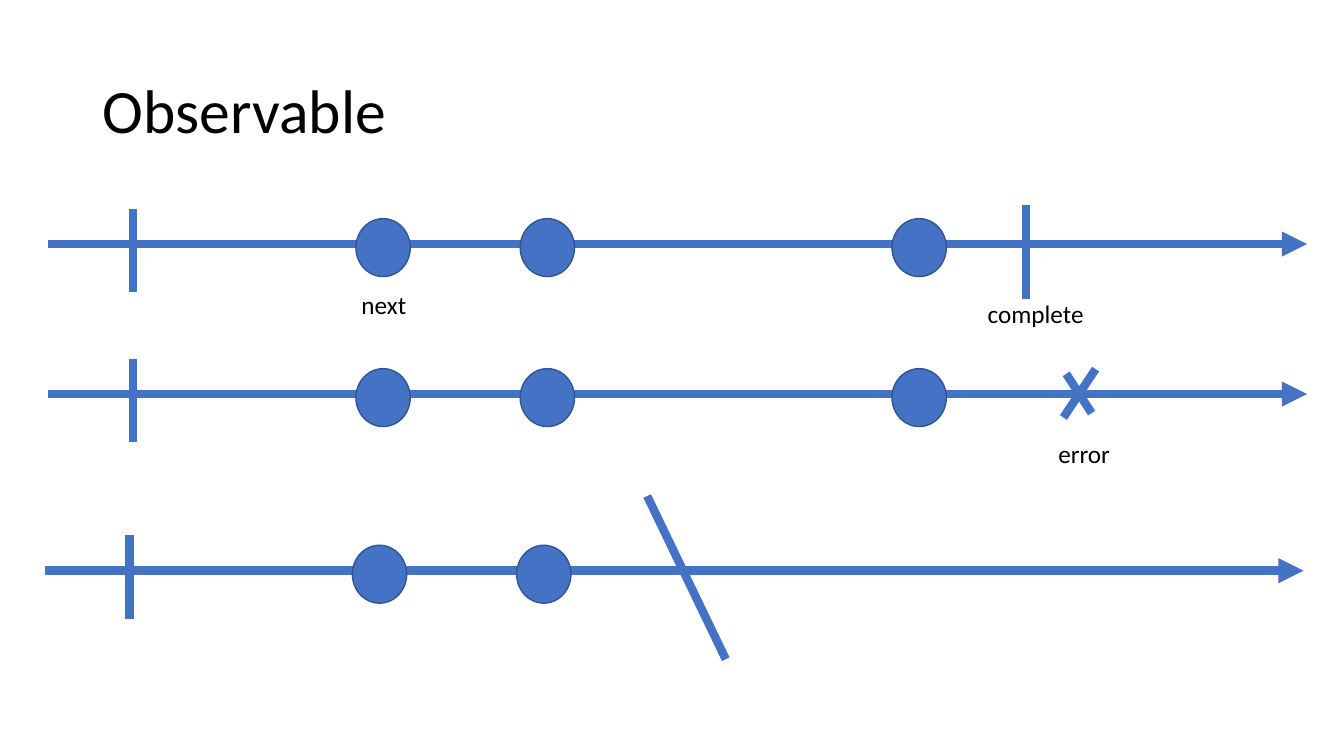
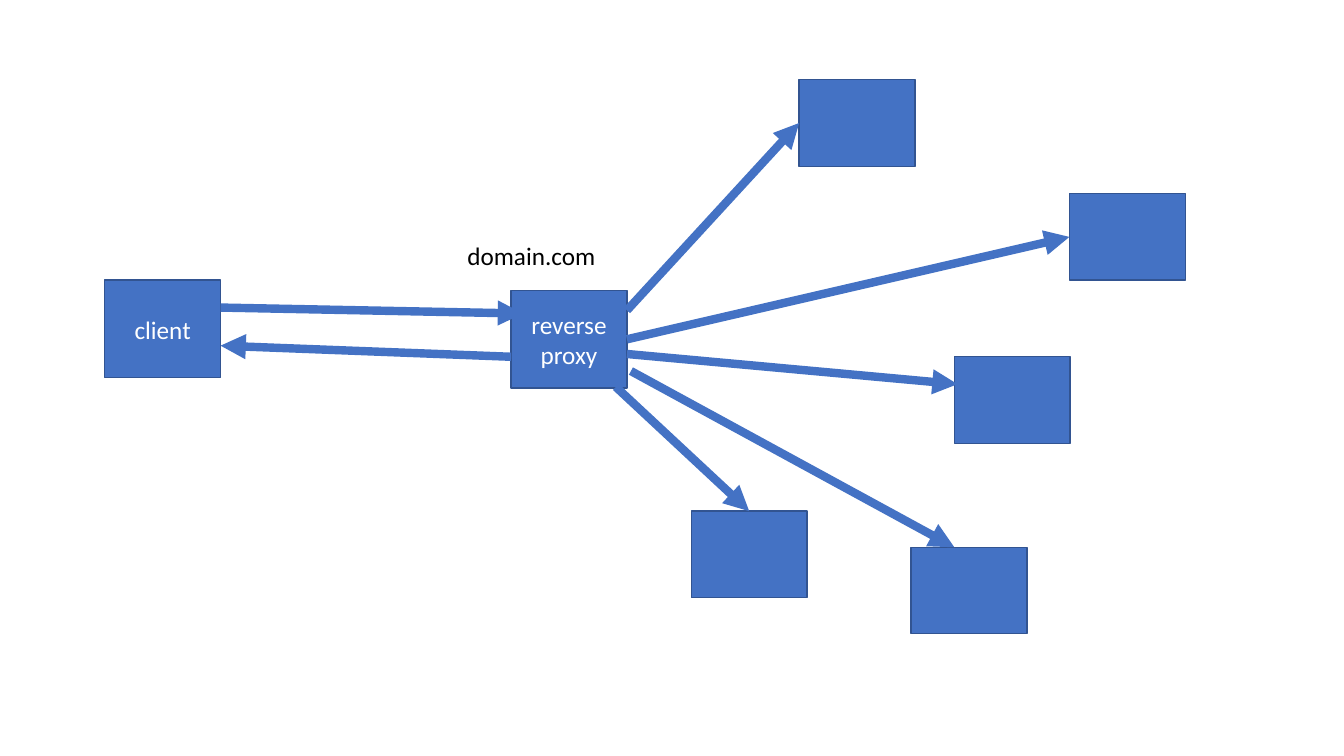
from lxml import etree
from pptx import Presentation, util as u
from pptx.dml.color import RGBColor
from pptx.enum import shapes, text
from pptx.oxml.ns import qn


def rgb(value):
    return RGBColor.from_string(value)


class Deck:
    FONT = "Calibri"
    BLUE = "4472C4"
    EDGE = "325491"
    BLACK = "000000"
    WHITE = "FFFFFF"

    def __init__(self):
        self.prs = Presentation()
        self.prs.slide_width = u.Cm(33.87)
        self.prs.slide_height = u.Cm(19.05)
        self.s = None

    def slide(self):
        self.s = self.prs.slides.add_slide(self.prs.slide_layouts[6])

    def set_text(self, tf, words, size, color):
        tf.text = words
        p = tf.paragraphs[0]
        font = p.runs[0].font
        font.name = self.FONT
        font.size = u.Pt(size)
        font.color.rgb = rgb(color)
        return p

    def title(self, words):
        tf = self.s.shapes.add_textbox(u.Cm(2.34), u.Cm(1.02), u.Cm(29.21), u.Cm(3.68)).text_frame
        tf.word_wrap = True
        tf.vertical_anchor = text.MSO_ANCHOR.MIDDLE
        self.set_text(tf, words, 44, self.BLACK).line_spacing = 0.9

    def label(self, words, x, y, w):
        tf = self.s.shapes.add_textbox(u.Cm(x), u.Cm(y), u.Cm(w), u.Cm(1.03)).text_frame
        tf.word_wrap = False
        tf.auto_size = text.MSO_AUTO_SIZE.SHAPE_TO_FIT_TEXT
        self.set_text(tf, words, 18, self.BLACK)

    def shape(self, kind, x, y, w, h):
        sp = self.s.shapes.add_shape(kind, u.Cm(x), u.Cm(y), u.Cm(w), u.Cm(h))
        sp.shadow.inherit = False
        sp.fill.solid()
        sp.fill.fore_color.rgb = rgb(self.BLUE)
        sp.line.color.rgb = rgb(self.EDGE)
        sp.line.width = u.Pt(1)
        return sp

    def dot(self, x, y):
        return self.shape(shapes.MSO_SHAPE.OVAL, x, y, 1.37, 1.46)

    def box(self, x, y, h, words=None):
        sp = self.shape(shapes.MSO_SHAPE.RECTANGLE, x, y, 2.92, h)
        if words:
            tf = sp.text_frame
            tf.word_wrap = True
            tf.vertical_anchor = text.MSO_ANCHOR.MIDDLE
            self.set_text(tf, words, 18, self.WHITE).alignment = text.PP_ALIGN.CENTER
        return sp

    def line(self, x1, y1, x2, y2):
        cx = self.s.shapes.add_connector(
            shapes.MSO_CONNECTOR.STRAIGHT, u.Cm(x1), u.Cm(y1), u.Cm(x2), u.Cm(y2))
        cx.line.color.rgb = rgb(self.BLUE)
        cx.line.width = u.Pt(6)
        etree.SubElement(cx.element.spPr, qn("a:effectLst"))
        return cx

    def arrow(self, x1, y1, x2, y2):
        cx = self.line(x1, y1, x2, y2)
        ln = cx.element.spPr.find(qn("a:ln"))
        etree.SubElement(ln, qn("a:tailEnd"), type="triangle")
        return cx

    def timeline(self, x, y, dots):
        self.arrow(x, y, x + 31.72, y)
        self.line(x + 2.13, y - 0.89, x + 2.13, y + 1.22)
        for offset in dots:
            self.dot(x + offset, y - 0.64)


def observable(d):
    d.slide()
    d.title("Observable")
    dots = (7.75, 11.89, 21.26)
    d.timeline(1.22, 6.15, dots)
    d.line(25.86, 5.16, 25.86, 7.54)
    d.timeline(1.22, 9.93, dots)
    d.line(26.87, 9.42, 27.51, 10.41)
    d.line(27.61, 9.3, 26.8, 10.52)
    d.timeline(1.13, 14.38, dots[:2])
    d.line(16.31, 12.5, 18.29, 16.61)
    d.label("next", 8.86, 7.16, 1.65)
    d.label("complete", 24.64, 7.39, 2.97)
    d.label("error", 26.42, 10.92, 1.83)


def reverse_proxy(d):
    d.slide()
    d.box(2.64, 7.06, 2.46, "client")
    proxy = d.box(12.88, 7.32, 2.46, "reverse proxy")
    places = ((20.14, 2.01), (17.42, 12.88), (22.96, 13.79), (24.05, 8.99), (26.95, 4.88))
    top, bottom, _, _, right = [d.box(x, y, 2.18) for x, y in places]

    d.arrow(5.56, 7.75, 13.18, 7.9)
    d.arrow(12.88, 8.99, 5.56, 8.71)
    d.arrow(15.8, 7.82, 20.14, 3.1).end_connect(top, 1)
    middle = d.arrow(15.8, 8.55, 26.95, 5.97)
    middle.begin_connect(proxy, 3)
    middle.end_connect(right, 1)
    d.arrow(15.8, 8.92, 24.13, 9.68)
    d.arrow(15.52, 9.75, 18.88, 12.88).end_connect(bottom, 0)
    d.arrow(15.9, 9.35, 24.05, 13.79)
    d.label("domain.com", 11.53, 5.94, 3.76)


def main():
    d = Deck()
    observable(d)
    reverse_proxy(d)
    d.prs.save("out.pptx")


if __name__ == "__main__":
    main()
